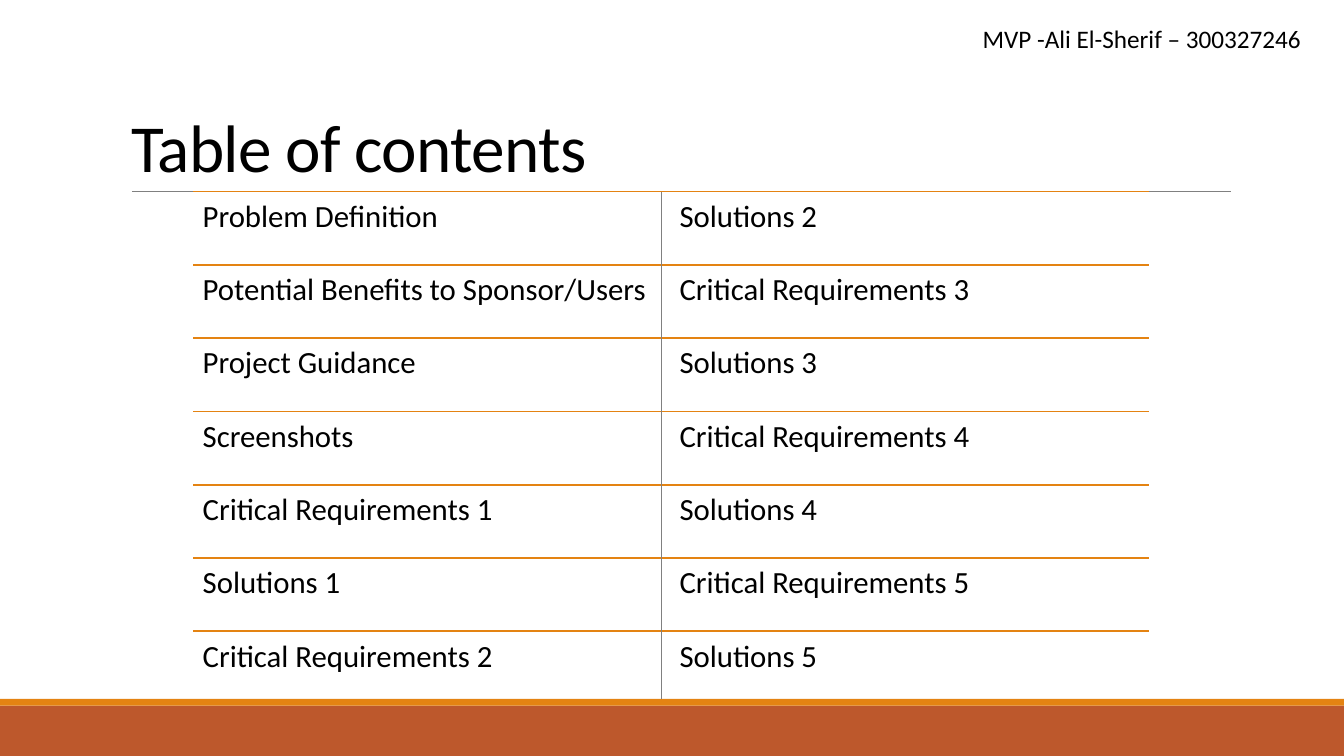
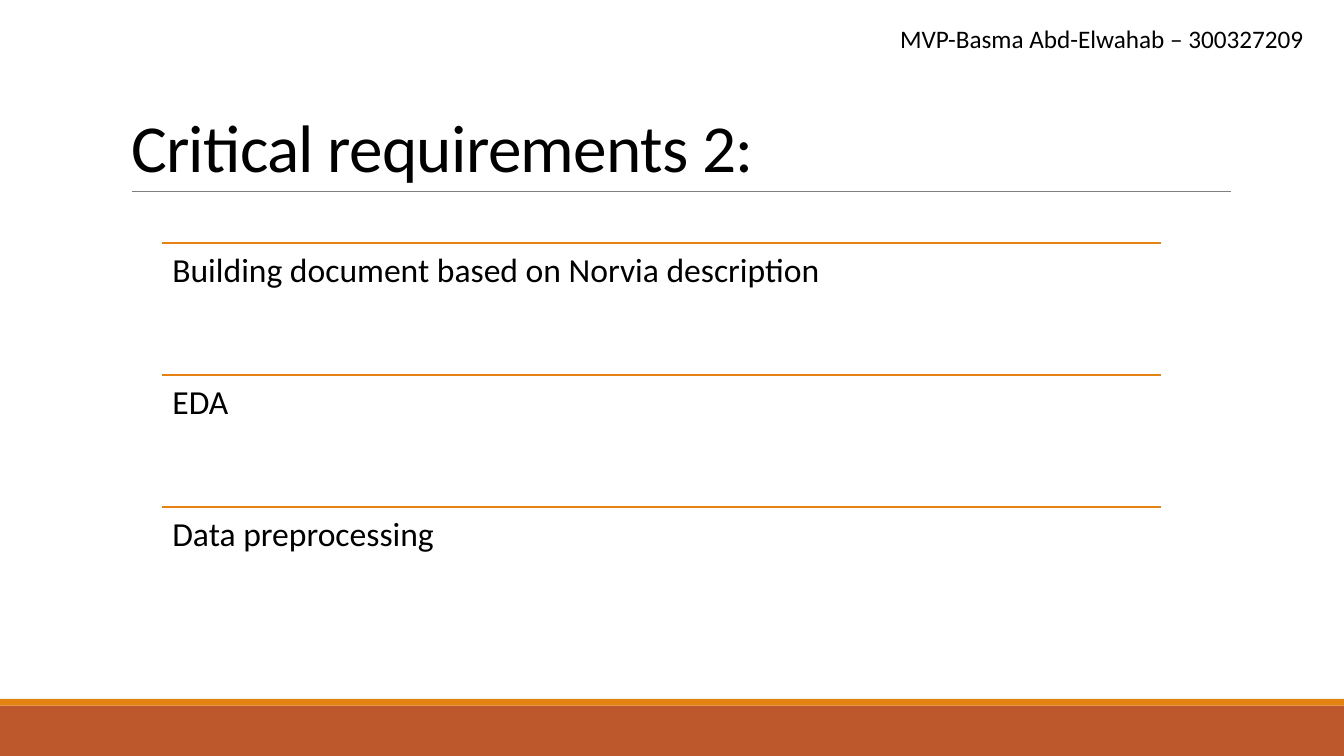
from pptx import Presentation
from pptx.dml.color import RGBColor
from pptx.enum.shapes import MSO_CONNECTOR, MSO_SHAPE
from pptx.enum.text import MSO_ANCHOR, MSO_AUTO_SIZE, PP_ALIGN
from pptx.oxml.ns import qn
from pptx.util import Pt
from lxml.etree import SubElement

COLORS = {"band": "BD582C", "accent": "E48312", "rule": "808080", "text": "000000"}
FONT = "Calibri"
SLIDE_WIDTH, SLIDE_HEIGHT = 960, 540
TITLE_BOTTOM = 136.8
BAND_TOP, STRIPE_TOP = 504, 499.2
HEADER_TOP, HEADER_HEIGHT = 13, 28.8

CONTENTS_TOPICS = [
    ["Problem Definition", "Potential Benefits to Sponsor/Users", "Project Guidance",
     "Screenshots", "Critical Requirements 1", "Solutions 1", "Critical Requirements 2"],
    ["Solutions 2", "Critical Requirements 3", "Solutions 3", "Critical Requirements 4",
     "Solutions 4", "Critical Requirements 5", "Solutions 5"],
]
REQUIREMENTS = ["Building document based on Norvia description", "EDA", "Data preprocessing"]


def color(name):
    """Return the palette colour of that name."""
    return RGBColor.from_string(COLORS[name])


def style_paragraph(paragraph, size, spacing=1.0):
    """Give a paragraph the deck's font, colour and alignment."""
    paragraph.alignment = PP_ALIGN.LEFT
    paragraph.line_spacing = spacing
    paragraph.font.name = FONT
    paragraph.font.size = Pt(size)
    paragraph.font.color.rgb = color("text")


def add_line(shapes, start, end, color_name, width):
    """Draw a straight line without shadow."""
    line = shapes.add_connector(MSO_CONNECTOR.STRAIGHT, *map(Pt, start + end))
    line.line.color.rgb = color(color_name)
    line.line.width = Pt(width)
    SubElement(line.element.spPr, qn("a:effectLst"))
    return line


def add_band(shapes, top, height, color_name):
    """Draw a plain band over the full slide width."""
    band = shapes.add_shape(MSO_SHAPE.RECTANGLE, 0, Pt(top), Pt(SLIDE_WIDTH), Pt(height))
    band.shadow.inherit = False
    band.fill.solid()
    band.fill.fore_color.rgb = color(color_name)
    band.line.fill.background()
    return band


def add_text(shapes, text, left, top, width, height, size, spacing=1.0):
    """Add a wrapped one-paragraph text box and return its frame."""
    box = shapes.add_textbox(Pt(left), Pt(top), Pt(width), Pt(height))
    frame = box.text_frame
    frame.word_wrap = True
    frame.text = text
    style_paragraph(frame.paragraphs[0], size, spacing)
    return frame


def add_ruled_list(slide, topics, left, top, width, row_height, size):
    """Stack topics at equal steps, each under an accent line."""
    shapes = slide.shapes.add_group_shape().shapes
    for row, topic in enumerate(topics):
        row_top = top + row * row_height
        add_line(shapes, (left, row_top), (left + width, row_top), "accent", 1.25)
        frame = add_text(shapes, topic, left, row_top, width, row_height, size, 0.9)
        inset = Pt(0.3 * size)
        frame.margin_left = frame.margin_right = inset
        frame.margin_top = frame.margin_bottom = inset


def design_layout(layout, slide):
    """Place the title, bands and title rule on the layout all slides share."""
    title = layout.placeholders[0]
    title.left, title.top, title.width, title.height = map(
        Pt, (86.4, TITLE_BOTTOM - 114.4, 792, 114.4))
    decorations = [
        add_band(slide.shapes, BAND_TOP, SLIDE_HEIGHT - BAND_TOP, "band"),
        add_band(slide.shapes, STRIPE_TOP, BAND_TOP - STRIPE_TOP, "accent"),
        add_line(slide.shapes, (94.3, TITLE_BOTTOM), (879.1, TITLE_BOTTOM), "rule", 0.5),
    ]
    for decoration in decorations:
        layout.shapes.element.append(decoration.element)


def add_titled_slide(deck, layout, title, author, author_left, author_width):
    """Add a slide with its title and the author's header."""
    slide = deck.slides.add_slide(layout)
    frame = slide.shapes.title.text_frame
    frame.text = title
    frame.auto_size = MSO_AUTO_SIZE.NONE
    frame.vertical_anchor = MSO_ANCHOR.BOTTOM
    heading = frame.paragraphs[0]
    style_paragraph(heading, 48, 0.85)
    heading.runs[0].font._element.set("spc", "-50")
    add_text(slide.shapes, author, author_left, HEADER_TOP, author_width, HEADER_HEIGHT, 18)
    return slide


def main():
    """Build and save the deck."""
    deck = Presentation()
    deck.slide_width, deck.slide_height = Pt(SLIDE_WIDTH), Pt(SLIDE_HEIGHT)
    layout = deck.slide_layouts[5]

    contents = add_titled_slide(deck, layout, "Table of contents",
                                "MVP -Ali El-Sherif – 300327246", 694.8, 246.2)
    design_layout(layout, contents)
    for topics, left in zip(CONTENTS_TOPICS, (138.2, 478.8)):
        add_ruled_list(contents, topics, left, TITLE_BOTTOM, 342, 52.35, 22)
    add_line(contents.shapes, (472.3, TITLE_BOTTOM), (472.3, STRIPE_TOP), "rule", 0.5)

    requirements = add_titled_slide(deck, layout, "Critical requirements 2:",
                                    "MVP-Basma Abd-Elwahab – 300327209", 635.8, 304.6)
    add_ruled_list(requirements, REQUIREMENTS, 115.9, 173.5, 713.5, 94.3, 24)

    deck.save("out.pptx")


if __name__ == "__main__":
    main()
